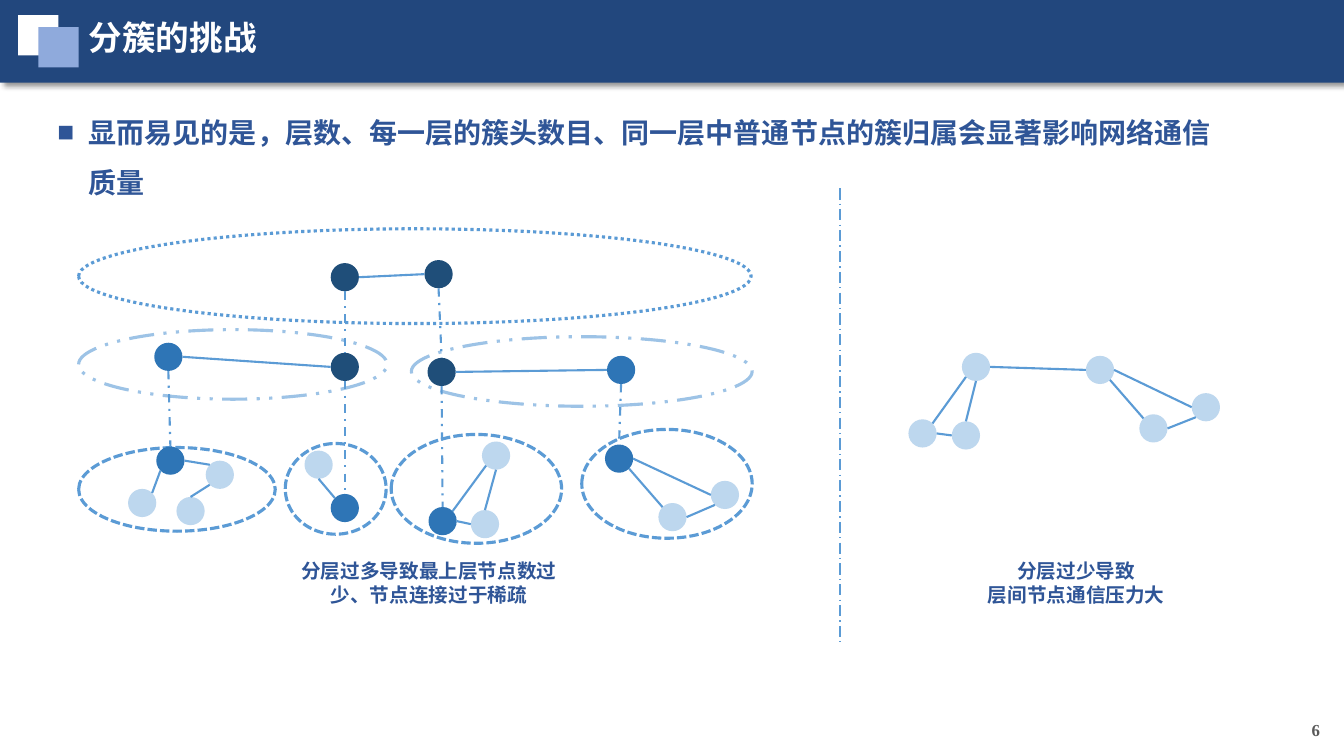
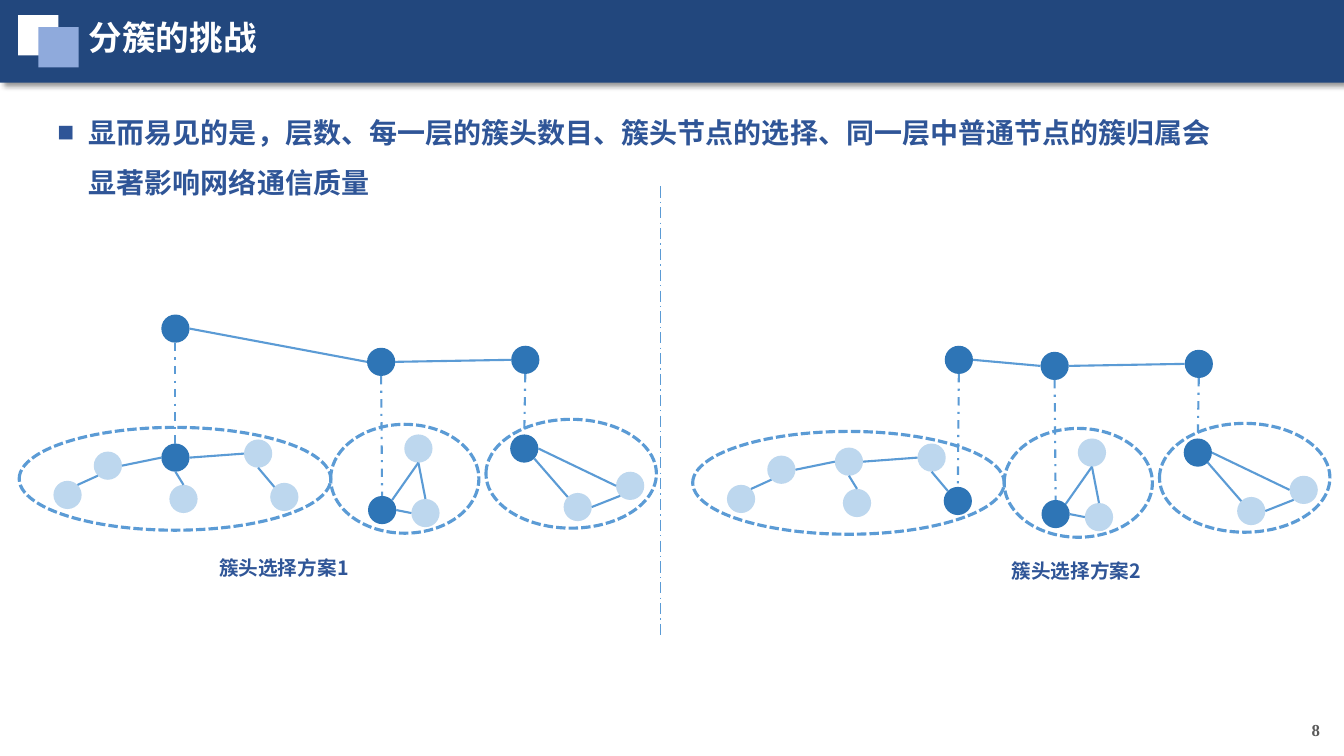
"""Build two slides on the challenges of clustering network nodes."""
import math
from pptx import Presentation
from pptx.dml.color import RGBColor
from pptx.enum import dml, shapes, text
from pptx.oxml import parse_xml
from pptx.util import Inches, Pt

WHITE = RGBColor(0xFF, 0xFF, 0xFF)
NAVY = RGBColor(0x22, 0x47, 0x7D)
PALE = RGBColor(0x8F, 0xAA, 0xDC)
INK = RGBColor(0x2F, 0x55, 0x97)
GREY = RGBColor(0x59, 0x59, 0x59)
BLUE = RGBColor(0x5B, 0x9B, 0xD5)
SKY = RGBColor(0x9D, 0xC3, 0xE6)
LIGHT = RGBColor(0xBD, 0xD7, 0xEE)
MID = RGBColor(0x2E, 0x75, 0xB6)
DARK = RGBColor(0x1F, 0x4E, 0x79)
CJK = "Noto Sans CJK SC"
NS = 'xmlns:a="http://schemas.openxmlformats.org/drawingml/2006/main"'
DASH = dml.MSO_LINE
ALIGN = text.PP_ALIGN
SIZE = 0.28
SITE = {name: (math.cos(i * math.pi / 4), -math.sin(i * math.pi / 4))
        for i, name in enumerate("e ne n nw w sw s se".split())}


def write(frame, words, font=CJK, size=14, color=INK, align=ALIGN.LEFT,
          anchor=text.MSO_ANCHOR.TOP, space=1.0, bullet=None):
    """Fill a text frame, one paragraph per line of words."""
    frame.word_wrap = True
    frame.auto_size = text.MSO_AUTO_SIZE.NONE
    frame.vertical_anchor = anchor
    for i, line in enumerate(words.split("\n")):
        para = frame.add_paragraph() if i else frame.paragraphs[0]
        if bullet:
            props = para._p.get_or_add_pPr()
            props.set("marL", str(Inches(0.31)))
            props.set("indent", str(-Inches(0.31)))
            props.append(parse_xml(f'<a:buFont {NS} typeface="Arial"/>'))
            props.append(parse_xml(f'<a:buChar {NS} char="{bullet}"/>'))
        para.alignment = align
        para.line_spacing = space
        para.space_before = Pt(0)
        run = para.add_run()
        run.text = line
        run.font.name, run.font.size, run.font.bold = font, Pt(size), True
        run.font.color.rgb = color
        run._r.get_or_add_rPr().append(parse_xml(f'<a:ea {NS} typeface="{CJK}"/>'))


def link(page, start, end, width=1.5, dash=None):
    """Draw a straight line between two points."""
    line = page.shapes.add_connector(
        shapes.MSO_CONNECTOR.STRAIGHT, *[Inches(n) for n in (*start, *end)])
    line.line.color.rgb = BLUE
    line.line.width = Pt(width)
    if dash:
        line.line.dash_style = dash
    line._element.spPr.append(parse_xml(f"<a:effectLst {NS}/>"))


FAN = "{1} nw {0} se, {2} w {0} e, {1} e {2} sw, "
TRI = "{1} w {0} e, {2} {3} {0} ne, {1} n {2} s, "

layers = {
    "shift": (0, 0),
    "nodes": {
        "a": (1.27, 4.85, LIGHT), "b": (1.55, 4.43, MID), "c": (2.04, 4.57, LIGHT),
        "d": (1.75, 4.93, LIGHT), "e": (4.25, 5.03, MID), "f": (4.67, 5.06, LIGHT),
        "g": (4.78, 4.38, LIGHT), "h": (3.02, 4.47, LIGHT), "i": (3.28, 4.9, MID),
        "j": (1.53, 3.4, MID), "k": (3.28, 3.5, DARK), "l": (4.24, 3.55, DARK),
        "m": (6, 4.41, MID), "n": (6.53, 4.99, LIGHT), "o": (7.05, 4.77, LIGHT),
        "p": (6.02, 3.53, MID), "q": (3.28, 2.61, DARK), "r": (4.21, 2.58, DARK)},
    "rings": [
        (0.78, 4.44, 1.95, 0.83, BLUE, DASH.SQUARE_DOT),
        (2.83, 4.4, 1, 0.9, BLUE, DASH.SQUARE_DOT),
        (3.88, 4.31, 1.69, 1.08, BLUE, DASH.SQUARE_DOT),
        (5.77, 4.26, 1.69, 1.08, BLUE, DASH.SQUARE_DOT),
        (0.78, 3.27, 3.06, 0.69, SKY, DASH.DASH_DOT_DOT),
        (4.08, 3.34, 3.38, 0.69, SKY, DASH.DASH_DOT_DOT),
        (0.78, 2.27, 6.67, 0.94, BLUE, DASH.ROUND_DOT)],
    "ties": TRI.format("e", "f", "g", "sw") + FAN.format("m", "n", "o")
    + "a ne b sw, c nw b e, d n c sw, i nw h s, k w j e, p w l e, r w q e",
    "lifts": "jb ki le pm qk rl"}

flat = {
    "shift": (0, 0),
    "nodes": {
        "s": (9.01, 4.16, LIGHT), "t": (9.44, 4.18, LIGHT), "u": (9.54, 3.5, LIGHT),
        "v": (10.77, 3.53, LIGHT), "w": (11.3, 4.11, LIGHT), "x": (11.82, 3.9, LIGHT)},
    "rings": [],
    "ties": TRI.format("s", "t", "u", "sw") + FAN.format("v", "w", "x") + "v w u e",
    "lifts": ""}

plans = []
for shift, head, top in [((0, 0), "c", (1.6, 3.12)), ((6.68, 0.04), "i", (2.69, 3.39))]:
    nodes = {
        "a": (0.53, 4.77, LIGHT), "b": (0.93, 4.48, LIGHT), "c": (1.6, 4.4, LIGHT),
        "d": (1.68, 4.81, LIGHT), "e": (3.65, 4.92, MID), "f": (4.08, 4.95, LIGHT),
        "g": (4.01, 4.31, LIGHT), "h": (2.42, 4.36, LIGHT), "i": (2.68, 4.79, LIGHT),
        "k": (*top, MID), "l": (3.64, 3.45, MID), "m": (5.06, 4.31, MID),
        "n": (5.59, 4.89, LIGHT), "o": (6.11, 4.68, LIGHT), "p": (5.07, 3.43, MID)}
    nodes[head] = (*nodes[head][:2], MID)
    plans.append({
        "shift": shift, "nodes": nodes,
        "rings": [
            (0.19, 4.24, 3.09, 1.02, BLUE, DASH.SQUARE_DOT),
            (3.28, 4.21, 1.47, 1.08, BLUE, DASH.SQUARE_DOT),
            (4.82, 4.16, 1.69, 1.08, BLUE, DASH.SQUARE_DOT)],
        "ties": TRI.format("e", "f", "g", "s") + FAN.format("m", "n", "o")
        + "a ne b sw, d n c s, i nw h s, p w l e, l w k e, c w b e, h w c e",
        "lifts": f"k{head} le pm"})

decks = [
    ("6", "显而易见的是，层数、每一层的簇头数目、同一层中普通节点的簇归属会显著影响网络通信质量",
     [layers, flat], (8.33, 1.87, 6.37),
     [(2.83, 5.5, 0.57, "分层过多导致最上层节点数过少、节点连接过于稀疏"),
      (9.25, 5.5, 0.57, "分层过少导致\n层间节点通信压力大")]),
    ("8", "显而易见的是，层数、每一层的簇头数目、簇头节点的选择、同一层中普通节点的簇归属会显著影响网络通信质量",
     plans, (6.55, 1.85, 6.34),
     [(1.39, 5.47, 0.34, "簇头选择方案1"), (9.25, 5.5, 0.34, "簇头选择方案2")])]

prs = Presentation()
prs.slide_width, prs.slide_height = Inches(13.33), Inches(7.5)
layout = prs.slide_layouts[1]
for spot in list(layout.placeholders)[2:]:
    layout.shapes.element.remove(spot.element)
places = [(0.78, 0.12, 6.2, 0.5), (0.47, 0.93, 11.74, 1.05)]
for spot, place in zip(layout.placeholders, places):
    spot.left, spot.top, spot.width, spot.height = [Inches(n) for n in place]

pages = [prs.slides.add_slide(layout) for deck in decks]
bands = [(0, 0, 13.33, 0.82, NAVY), (0.18, 0.15, 0.4, 0.4, WHITE), (0.38, 0.27, 0.4, 0.4, PALE)]
marks = []
for *place, color in bands:
    band = pages[0].shapes.add_shape(
        shapes.MSO_SHAPE.RECTANGLE, *[Inches(n) for n in place])
    band.fill.solid()
    band.fill.fore_color.rgb = color
    band.line.fill.background()
    band.shadow.inherit = False
    marks.append(band.element)
marks[0].spPr[-1].append(parse_xml(
    f'<a:outerShdw {NS} blurRad="{Pt(4)}" dist="{Pt(3)}" dir="2700000" algn="tl" '
    'rotWithShape="0"><a:srgbClr val="000000"><a:alpha val="40000"/></a:srgbClr>'
    '</a:outerShdw>'))
for i, mark in enumerate(marks):
    layout.shapes.element.insert(2 + i, mark)

for page, (number, point, panels, rule, notes) in zip(pages, decks):
    write(page.shapes.title.text_frame, "分簇的挑战", font="Arial", size=24, color=WHITE)
    write(page.placeholders[1].text_frame, point, size=20, space=1.5, bullet="■")
    box = page.shapes.add_textbox(Inches(10.19), Inches(7.04), Inches(3), Inches(0.4))
    write(box.text_frame, number, font="Times New Roman", size=12, color=GREY,
          align=ALIGN.RIGHT, anchor=text.MSO_ANCHOR.MIDDLE)
    for left, top, height, words in notes:
        box = page.shapes.add_textbox(
            Inches(left), Inches(top), Inches(2.85), Inches(height))
        write(box.text_frame, words, align=ALIGN.CENTER)
    x, top, bottom = rule
    link(page, (x, top), (x, bottom), width=1, dash=DASH.LONG_DASH_DOT)

    for panel in panels:
        dx, dy = panel["shift"]
        discs = [(x, y, SIZE, SIZE, color, None) for x, y, color in panel["nodes"].values()]
        for x, y, wide, high, color, dash in panel["rings"] + discs:
            oval = page.shapes.add_shape(
                shapes.MSO_SHAPE.OVAL, *[Inches(n) for n in (x + dx, y + dy, wide, high)])
            oval.shadow.inherit = False
            if dash:
                oval.fill.background()
                oval.line.color.rgb = color
                oval.line.width = Pt(2.25)
                oval.line.dash_style = dash
            else:
                oval.fill.solid()
                oval.fill.fore_color.rgb = color
                oval.line.fill.background()
        ties = [(tie.split(), None) for tie in panel["ties"].split(", ")]
        lifts = [((up, "s", low, "n"), DASH.DASH_DOT) for up, low in panel["lifts"].split()]
        for (one, start, two, end), dash in ties + lifts:
            ends = []
            for name, side in ((one, start), (two, end)):
                x, y = panel["nodes"][name][:2]
                across, down = SITE[side]
                ends.append((x + dx + SIZE / 2 * (1 + across), y + dy + SIZE / 2 * (1 + down)))
            link(page, *ends, dash=dash)

prs.save("out.pptx")
